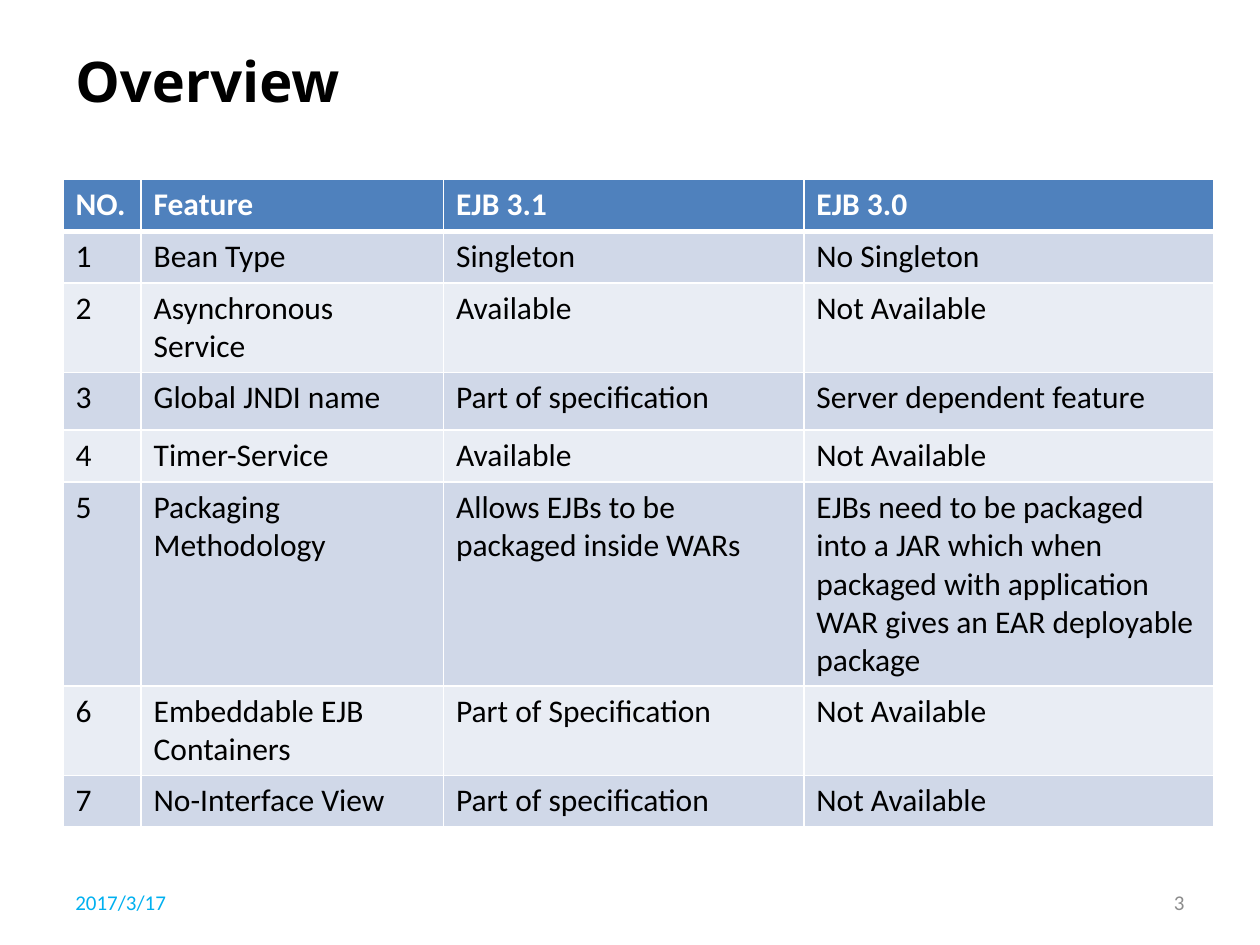
from lxml.etree import SubElement
from pptx import Presentation
from pptx.dml.color import RGBColor
from pptx.enum.text import MSO_ANCHOR, PP_ALIGN
from pptx.oxml.ns import qn
from pptx.util import Inches, Pt

BLACK = RGBColor(0x00, 0x00, 0x00)
WHITE = RGBColor(0xFF, 0xFF, 0xFF)
HEADER_BLUE = RGBColor(0x4F, 0x81, 0xBD)
BAND_DARK = RGBColor(0xD0, 0xD8, 0xE8)
BAND_LIGHT = RGBColor(0xE9, 0xED, 0xF4)
DATE_CYAN = RGBColor(0x00, 0xB0, 0xF0)
NUMBER_GREY = RGBColor(0x8C, 0x8C, 0x8C)

SLIDE_W, SLIDE_H = 10, 7.5
MARGIN = 0.05 * SLIDE_W
CONTENT_W = SLIDE_W - 2 * MARGIN

COLUMN_WIDTHS = [0.62, 2.4, 2.86, 3.25]
ROW_HEIGHTS = [0.41, 0.41, 0.71, 0.46, 0.41, 1.62, 0.71, 0.41]
FEATURES = [
    ("NO.", "Feature", "EJB 3.1", "EJB 3.0"),
    ("1", "Bean Type", "Singleton", "No Singleton"),
    ("2", "Asynchronous Service", "Available", "Not Available"),
    ("3", "Global JNDI name", "Part of specification",
     "Server dependent feature"),
    ("4", "Timer-Service", "Available", "Not Available"),
    ("5", "Packaging Methodology", "Allows EJBs to be packaged inside WARs",
     "EJBs need to be packaged into a JAR which when packaged with "
     "application WAR gives an EAR deployable package"),
    ("6", "Embeddable EJB Containers", "Part of Specification",
     "Not Available"),
    ("7", "No-Interface View", "Part of specification", "Not Available"),
]


def style_text(frame, size, color, font="Calibri", bold=False):
    """Format every run of a text frame."""
    for paragraph in frame.paragraphs:
        for run in paragraph.runs:
            run.font.size = Pt(size)
            run.font.name = font
            run.font.bold = bold
            run.font.color.rgb = color


def add_label(slide, box, text, size, color, align=PP_ALIGN.LEFT, **style):
    """Place one vertically centred line of text in a box."""
    label = slide.shapes.add_textbox(*map(Inches, box)).text_frame
    label.word_wrap = True
    label.vertical_anchor = MSO_ANCHOR.MIDDLE
    label.text = text
    label.paragraphs[0].alignment = align
    style_text(label, size, color, **style)


def set_borders(cell, bottom_width):
    """Draw white borders around a table cell."""
    properties = cell._tc.get_or_add_tcPr()
    widths = {"a:lnL": 1, "a:lnR": 1, "a:lnT": 1, "a:lnB": bottom_width}
    for side, width in widths.items():
        line = SubElement(properties, qn(side), w=str(Pt(width)))
        fill = SubElement(line, qn("a:solidFill"))
        SubElement(fill, qn("a:srgbClr"), val=str(WHITE))


def add_feature_table(slide, left, top):
    """Build the banded comparison table from its top left corner."""
    size = sum(COLUMN_WIDTHS), sum(ROW_HEIGHTS)
    table = slide.shapes.add_table(
        len(FEATURES), len(COLUMN_WIDTHS),
        *map(Inches, (left, top, *size))).table
    for column, width in zip(table.columns, COLUMN_WIDTHS):
        column.width = Inches(width)
    for index, (row, height) in enumerate(zip(table.rows, ROW_HEIGHTS)):
        row.height = Inches(height)
        header = index == 0
        band = BAND_DARK if index % 2 else BAND_LIGHT
        for cell, text in zip(row.cells, FEATURES[index]):
            # The header has a thick lower edge; the next row shares it.
            set_borders(cell, 3 if header else 1)
            cell.fill.solid()
            cell.fill.fore_color.rgb = HEADER_BLUE if header else band
            cell.text_frame.text = text
            style_text(cell.text_frame, 18, WHITE if header else BLACK,
                       bold=header)


def add_footer(slide, top, height):
    """Place the date at the left margin and the page number at the right."""
    width = 0.26 * CONTENT_W
    right = SLIDE_W - MARGIN - width
    add_label(slide, (MARGIN, top, width, height), "2017/3/17", 12, DATE_CYAN)
    add_label(slide, (right, top, width, height), "3", 12, NUMBER_GREY,
              align=PP_ALIGN.RIGHT)


def build_overview():
    """Build the overview slide and save the presentation."""
    presentation = Presentation()
    presentation.slide_width = Inches(SLIDE_W)
    presentation.slide_height = Inches(SLIDE_H)
    slide = presentation.slides.add_slide(presentation.slide_layouts[6])
    add_label(slide, (MARGIN, 0.04 * SLIDE_H, CONTENT_W, 0.09 * SLIDE_H),
              "Overview", 32, BLACK, font="Noto Sans", bold=True)
    add_feature_table(slide, MARGIN, 0.19 * SLIDE_H)
    add_footer(slide, 0.93 * SLIDE_H, 0.05 * SLIDE_H)
    presentation.save("out.pptx")


build_overview()
